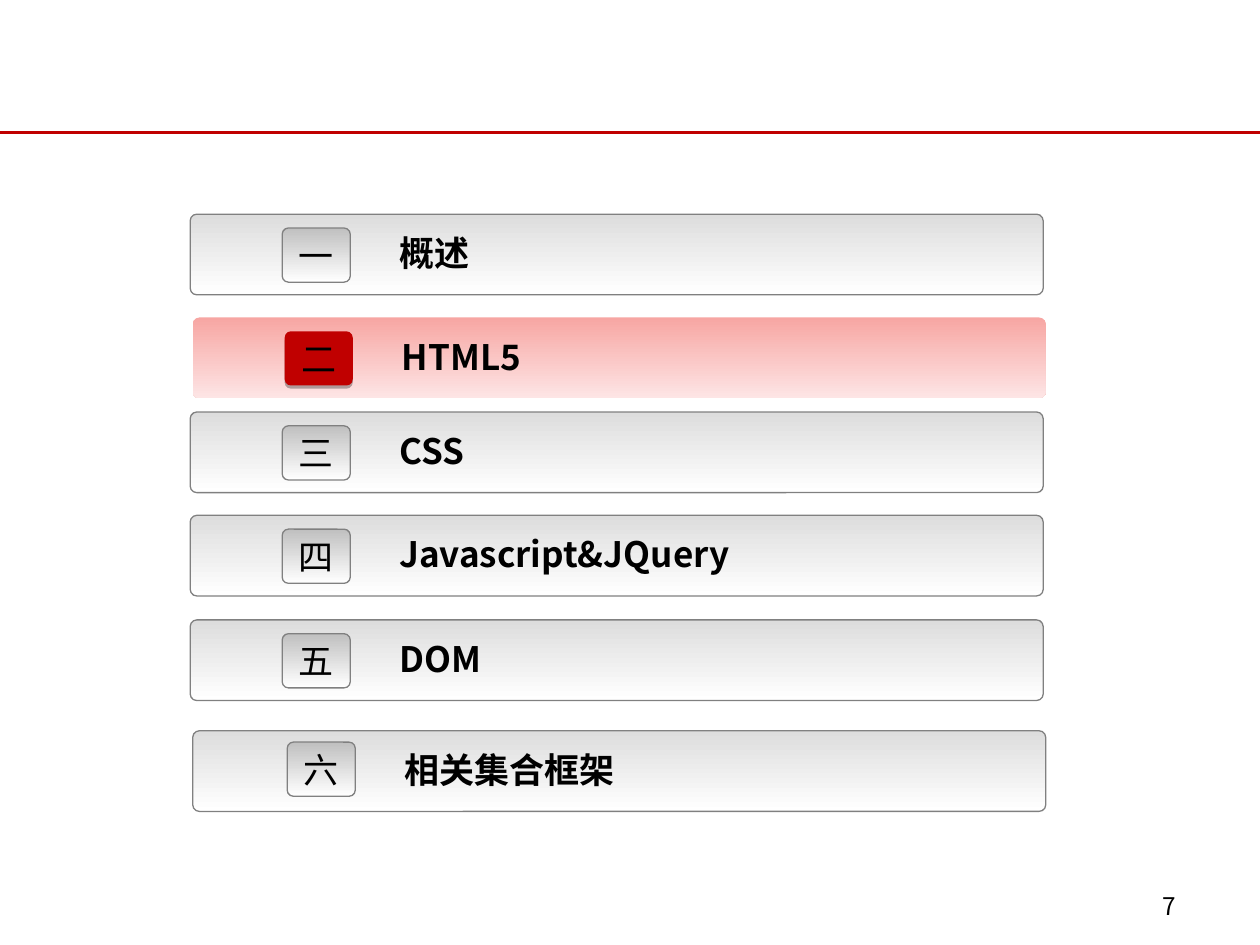
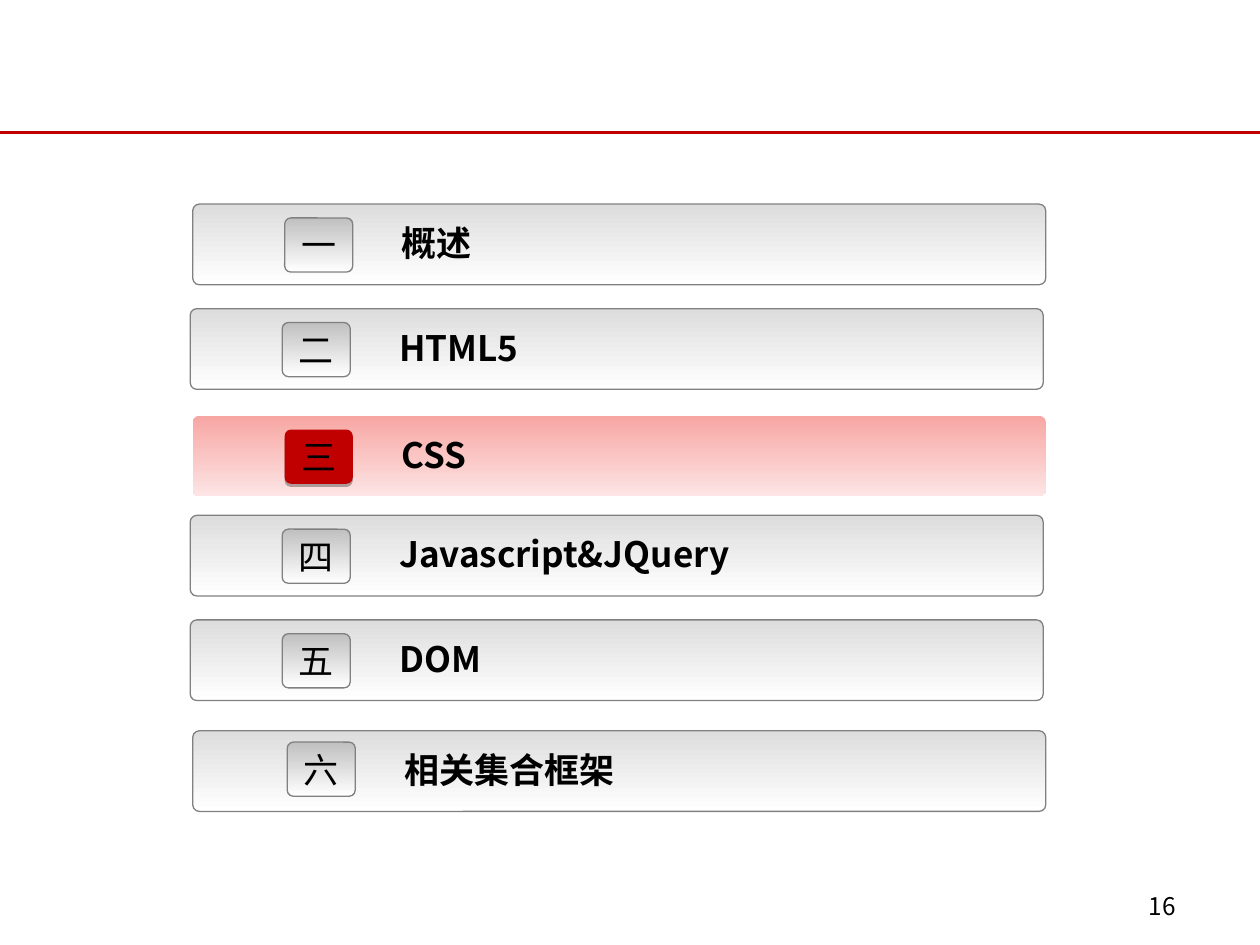
"""Build two agenda slides, each with its current chapter highlighted."""
from lxml import etree
from pptx import Presentation
from pptx.dml.color import RGBColor
from pptx.enum.shapes import MSO_CONNECTOR as Connector, MSO_SHAPE as Preset
from pptx.enum.text import MSO_ANCHOR as Anchor, MSO_AUTO_SIZE as AutoSize, PP_ALIGN as Align
from pptx.oxml import parse_xml
from pptx.oxml.ns import nsdecls, qn
from pptx.util import Inches, Pt

RED = RGBColor(0xC0, 0x00, 0x00)
ROSE = RGBColor(0xF7, 0xA6, 0xA3)
PALE_ROSE = RGBColor(0xFD, 0xE5, 0xE5)
LIGHT_GREY = RGBColor(0xDD, 0xDD, 0xDD)
SILVER = RGBColor(0xC0, 0xC0, 0xC0)
GREY = RGBColor(0x80, 0x80, 0x80)
WHITE = RGBColor(0xFF, 0xFF, 0xFF)
BLACK = RGBColor(0x00, 0x00, 0x00)

CJK_FONT = "Noto Sans CJK SC"
LATIN_FONT = "Arial"
BLANK_LAYOUT = 6
LEFT = 1.51
INDENTED = 1.53

CHAPTERS = [
    ("一", "概述", CJK_FONT),
    ("二", "HTML5", CJK_FONT),
    ("三", "CSS", CJK_FONT),
    ("四", "Javascript&JQuery", CJK_FONT),
    ("五", "DOM", CJK_FONT),
    ("六", "相关集合框架", LATIN_FONT),
]
LOWER_BARS = [(LEFT, 4.09), (LEFT, 4.92), (INDENTED, 5.8)]
AGENDAS = [
    ("7", "二", [(LEFT, 1.7), (INDENTED, 2.52), (LEFT, 3.27)] + LOWER_BARS),
    ("16", "三", [(INDENTED, 1.62), (LEFT, 2.45), (INDENTED, 3.3)] + LOWER_BARS),
]


class AgendaDeck:
    """Hold the deck style and the current slide."""

    def __init__(self):
        self.presentation = Presentation()
        self.presentation.slide_width = Inches(10)
        self.presentation.slide_height = Inches(7.5)
        self.slide = None

    def add_slide(self, page_number):
        """Start a slide with its red rule and page number."""
        layout = self.presentation.slide_layouts[BLANK_LAYOUT]
        self.slide = self.presentation.slides.add_slide(layout)
        self.add_rule(1.05)
        frame = self.add_text_box(8.97, 7.01, 0.46, 0.4)
        frame.vertical_anchor = Anchor.MIDDLE
        self.add_text(frame, page_number, 13.9, Align.RIGHT)
        frame.paragraphs[0].line_spacing = 0.8

    def add_rule(self, top):
        """Draw a red line across the slide."""
        rule = self.slide.shapes.add_connector(
            Connector.STRAIGHT, 0, Inches(top), self.presentation.slide_width, Inches(top))
        rule.line.color.rgb = RED
        rule.line.width = Pt(1.5)
        etree.SubElement(rule._element.spPr, qn("a:effectLst"))

    def add_text_box(self, left, top, width, height):
        """Add a wrapping text box and return its text frame."""
        box = self.slide.shapes.add_textbox(
            Inches(left), Inches(top), Inches(width), Inches(height))
        box.text_frame.word_wrap = True
        return box.text_frame

    def add_text(self, frame, text, size, alignment=Align.LEFT, font=CJK_FONT, bold=False):
        """Add one run to the first paragraph of a frame."""
        paragraph = frame.paragraphs[0]
        paragraph.alignment = alignment
        run = paragraph.add_run()
        run.text = text
        run.font.size = Pt(size)
        run.font.bold = bold
        run.font.name = font
        run.font.color.rgb = BLACK
        east_asian = etree.SubElement(run._r.get_or_add_rPr(), qn("a:ea"))
        east_asian.set("typeface", CJK_FONT)

    def add_panel(self, left, top, width, height, rounding, colors, outlined):
        """Add a rounded panel with a solid or top-down gradient fill."""
        panel = self.slide.shapes.add_shape(
            Preset.ROUNDED_RECTANGLE, Inches(left), Inches(top), Inches(width), Inches(height))
        panel.adjustments[0] = rounding
        panel.shadow.inherit = False
        if len(colors) == 1:
            panel.fill.solid()
            panel.fill.fore_color.rgb = colors[0]
        else:
            panel.fill.gradient()
            panel.fill.gradient_angle = 270
            for stop, color in zip(panel.fill.gradient_stops, colors):
                stop.color.rgb = color
        if outlined:
            panel.line.color.rgb = GREY
            panel.line.width = Pt(0.75)
        else:
            panel.line.fill.background()
        return panel

    def add_drop_shadow(self, shape):
        """Put a hard translucent shadow just below a shape."""
        effects = shape._element.spPr.find(qn("a:effectLst"))
        effects.append(parse_xml(
            f'<a:outerShdw {nsdecls("a")} blurRad="0" dist="{Pt(1.8)}" dir="5400000">'
            f'<a:srgbClr val="{BLACK}"><a:alpha val="29000"/></a:srgbClr></a:outerShdw>'))

    def add_chapter(self, left, top, numeral, title, font, active):
        """Add a chapter bar with its numeral badge and title."""
        bar_colors = (ROSE, PALE_ROSE) if active else (LIGHT_GREY, WHITE)
        badge_colors = (RED,) if active else (SILVER, WHITE)
        shift = 0.02 if numeral == "六" else 0
        self.add_panel(left, top, 6.77, 0.64, 0.082, bar_colors, not active)
        badge = self.add_panel(
            left + 0.73 + shift, top + 0.11 - shift, 0.54, 0.43, 0.115,
            badge_colors, not active)
        if active:
            self.add_drop_shadow(badge)
        badge.text_frame.word_wrap = False
        badge.text_frame.vertical_anchor = Anchor.MIDDLE
        self.add_text(badge.text_frame, numeral, 20, Align.CENTER)
        frame = self.add_text_box(left + 1.56 + shift, top + 0.09, 3.47, 0.44)
        frame.auto_size = AutoSize.SHAPE_TO_FIT_TEXT
        self.add_text(frame, title, 20, font=font, bold=True)


def main():
    """Build and save the agenda slides."""
    deck = AgendaDeck()
    for page_number, current, positions in AGENDAS:
        deck.add_slide(page_number)
        for (left, top), (numeral, title, font) in zip(positions, CHAPTERS):
            deck.add_chapter(left, top, numeral, title, font, numeral == current)
    deck.presentation.save("out.pptx")


if __name__ == "__main__":
    main()
